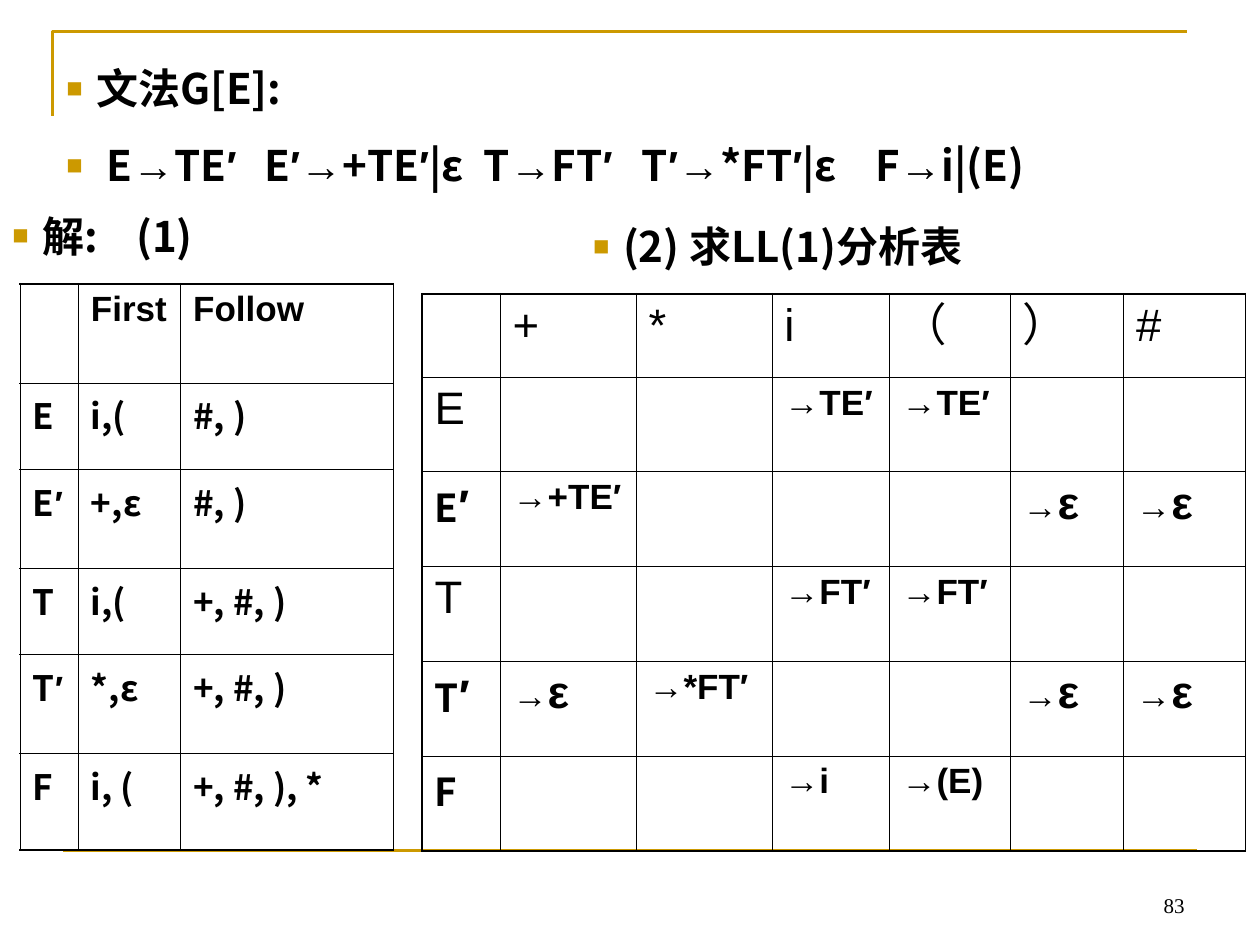
from itertools import groupby

from lxml import etree
from pptx import Presentation
from pptx.dml.color import RGBColor
from pptx.enum.shapes import MSO_CONNECTOR
from pptx.enum.text import MSO_ANCHOR, PP_ALIGN
from pptx.oxml.ns import qn
from pptx.util import Cm, Pt

STRAIGHT = MSO_CONNECTOR.STRAIGHT
BOTTOM = MSO_ANCHOR.BOTTOM
RIGHT = PP_ALIGN.RIGHT

COLORS = {"gold": "CC9900", "black": "000000"}
SANS, CJK, SERIF = "Arial", "Noto Sans CJK SC", "Times New Roman"
BLANK = 6
THIN, THICK = Pt(0.45), Pt(1.08)

FIRST_FOLLOW = [
    ["", "First", "Follow"],
    ["E", "i,(", "#, )"],
    ["E′", "+,ε", "#, )"],
    ["T", "i,(", "+, #, )"],
    ["T′", "*,ε", "+, #, )"],
    ["F", "i, (", "+, #, ), *"],
]
LL1_TABLE = [
    ["", "+", "*", "i", "（", "）", "#"],
    ["E", "", "", "→TE′", "→TE′", "", ""],
    ["E′", "→+TE′", "", "", "", "→ε", "→ε"],
    ["T", "", "", "→FT′", "→FT′", "", ""],
    ["T′", "→ε", "→*FT′", "", "", "→ε", "→ε"],
    ["F", "", "", "→i", "→(E)", "", ""],
]


def rgb(name):
    return RGBColor.from_string(COLORS[name])


# Text styles: each gives (size, font, bold) for one character
def grammar_style(ch, size=24):
    return size, SANS if ch in "→′" else CJK, True


def first_follow_style(ch, row, col):
    return (20, SANS, True) if row == 0 else grammar_style(ch, 20)


def ll1_style(ch, row, col):
    if row == 0 or (col == 0 and row in (1, 3)):
        return 26, SANS, False
    if ch in "ε" or (col == 0 and ch == "′"):
        return 26, SANS, True
    return (22, CJK, True) if col == 0 else (20, SANS, True)


def format_run(r, size, font, bold=False):
    r.font.size, r.font.name, r.font.bold = Pt(size), font, bold
    r.font.color.rgb = rgb("black")
    ea = etree.SubElement(r.font._element, qn("a:ea"))
    ea.set("typeface", font)


def add_runs(p, text, style):
    for look, chars in groupby(text, key=style):
        r = p.add_run()
        r.text = "".join(chars)
        format_run(r, *look)


def add_bullet(p, indent, tabs):
    pPr = p._p.get_or_add_pPr()
    pPr.set("marL", str(Cm(indent)))
    pPr.set("indent", str(-Cm(indent)))
    clr = etree.SubElement(pPr, qn("a:buClr"))
    etree.SubElement(clr, qn("a:srgbClr")).set("val", COLORS["gold"])
    etree.SubElement(pPr, qn("a:buSzPct")).set("val", "65000")
    etree.SubElement(pPr, qn("a:buFont")).set("typeface", SANS)
    etree.SubElement(pPr, qn("a:buChar")).set("char", "■")
    if tabs:
        tab_list = etree.SubElement(pPr, qn("a:tabLst"))
        for pos in tabs:
            tab = etree.SubElement(tab_list, qn("a:tab"))
            tab.set("pos", str(Cm(pos)))
            tab.set("algn", "l")


def add_bullets(slide, box, items):
    sp = slide.shapes.add_textbox(*map(Cm, box))
    tf = sp.text_frame
    tf.word_wrap = True
    for i, (text, indent, tabs) in enumerate(items):
        p = tf.add_paragraph() if i else tf.paragraphs[0]
        add_bullet(p, indent, tabs)
        if i:
            p.space_before = Pt(15)
        add_runs(p, text, grammar_style)


def set_borders(cell, widths):
    tcPr = cell._tc.get_or_add_tcPr()
    for side, width in zip("LRTB", widths):
        ln = etree.SubElement(tcPr, qn(f"a:ln{side}"))
        ln.set("w", str(width))
        fill = etree.SubElement(ln, qn("a:solidFill"))
        etree.SubElement(fill, qn("a:srgbClr")).set("val", COLORS["black"])


def add_grid(slide, left, top, col_widths, row_heights, data, style):
    table = slide.shapes.add_table(
        len(data), len(data[0]), Cm(left), Cm(top),
        Cm(sum(col_widths)), Cm(sum(row_heights))).table
    table.first_row = table.horz_banding = False
    for col, width in zip(table.columns, col_widths):
        col.width = Cm(width)
    for row, height in zip(table.rows, row_heights):
        row.height = Cm(height)
    last_row, last_col = len(data) - 1, len(data[0]) - 1
    for i, texts in enumerate(data):
        for j, text in enumerate(texts):
            cell = table.cell(i, j)
            outer = (j == 0, j == last_col, i == 0, i == last_row)
            set_borders(cell, [THICK if edge else THIN for edge in outer])
            cell.fill.background()
            add_runs(cell.text_frame.paragraphs[0], text,
                     lambda ch: style(ch, i, j))


def add_frame_lines(slide):
    # Corner rule at the top left
    fb = slide.shapes.build_freeform(Cm(1.06), Cm(2.33))
    fb.add_line_segments([(Cm(1.06), Cm(0.63)), (Cm(23.92), Cm(0.63))],
                         close=False)
    corner = fb.convert_to_shape()
    corner.shadow.inherit = False
    corner.fill.background()
    # Rule at the foot
    foot = slide.shapes.add_connector(
        STRAIGHT, Cm(1.27), Cm(17.15), Cm(24.13), Cm(17.15))
    etree.SubElement(foot._element.spPr, qn("a:effectLst"))
    for sp in (corner, foot):
        sp.line.color.rgb = rgb("gold")
        sp.line.width = Pt(1.5)


def add_page_number(slide, number):
    sp = slide.shapes.add_textbox(Cm(18.2), Cm(17.36), Cm(5.93), Cm(1.27))
    tf = sp.text_frame
    tf.word_wrap = True
    tf.vertical_anchor = BOTTOM
    tf.text = number
    p = tf.paragraphs[0]
    p.alignment = RIGHT
    format_run(p.runs[0], 12, SERIF)


def main():
    prs = Presentation()
    prs.slide_width, prs.slide_height = Cm(25.4), Cm(19.05)
    slide = prs.slides.add_slide(prs.slide_layouts[BLANK])

    add_frame_lines(slide)
    add_page_number(slide, "83")

    # Grammar and its productions
    add_bullets(slide, (1.09, 1.14, 22.8, 3.84), [
        ("文法G[E]:", 0.6, []),
        ("E→TE′\tE′→+TE′|ε\tT→FT′\tT′→*FT′|ε\tF→i|(E)", 0.81,
         [3.99, 8.41, 11.6, 16.3]),
    ])

    # Part 1: First and Follow sets
    add_bullets(slide, (0, 4.11, 11, 1.27), [("解:\t(1)", 0.6, [2.5])])
    add_grid(slide, 0.41, 5.72, [1.17, 2.06, 4.29],
             [2, 1.75, 1.98, 1.75, 1.99, 1.94],
             FIRST_FOLLOW, first_follow_style)

    # Part 2: LL(1) parsing table
    add_bullets(slide, (11.71, 4.32, 11.81, 1.27),
                [("(2) 求LL(1)分析表", 0.6, [])])
    add_grid(slide, 8.51, 5.92, [1.57, 2.74, 2.74, 2.36, 2.44, 2.29, 2.46],
             [1.68] + [1.91] * 5, LL1_TABLE, ll1_style)

    prs.save("out.pptx")


if __name__ == "__main__":
    main()
